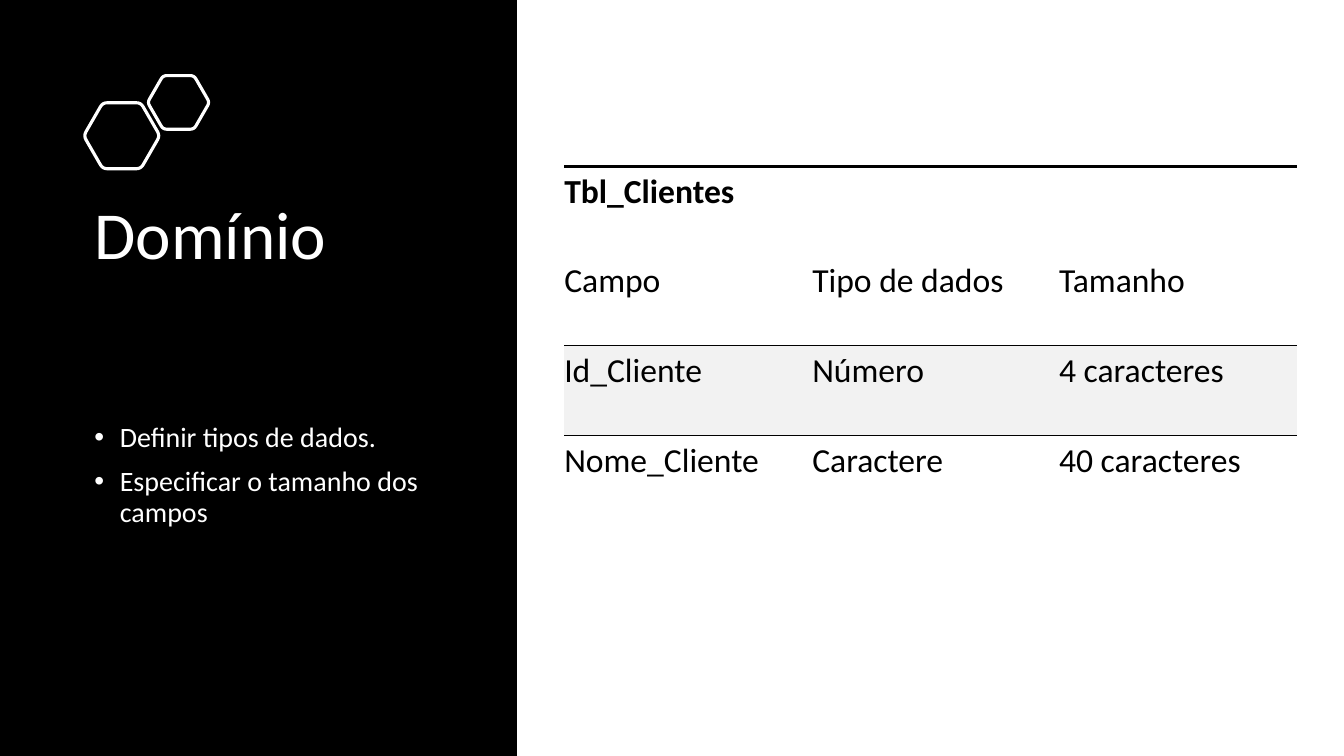
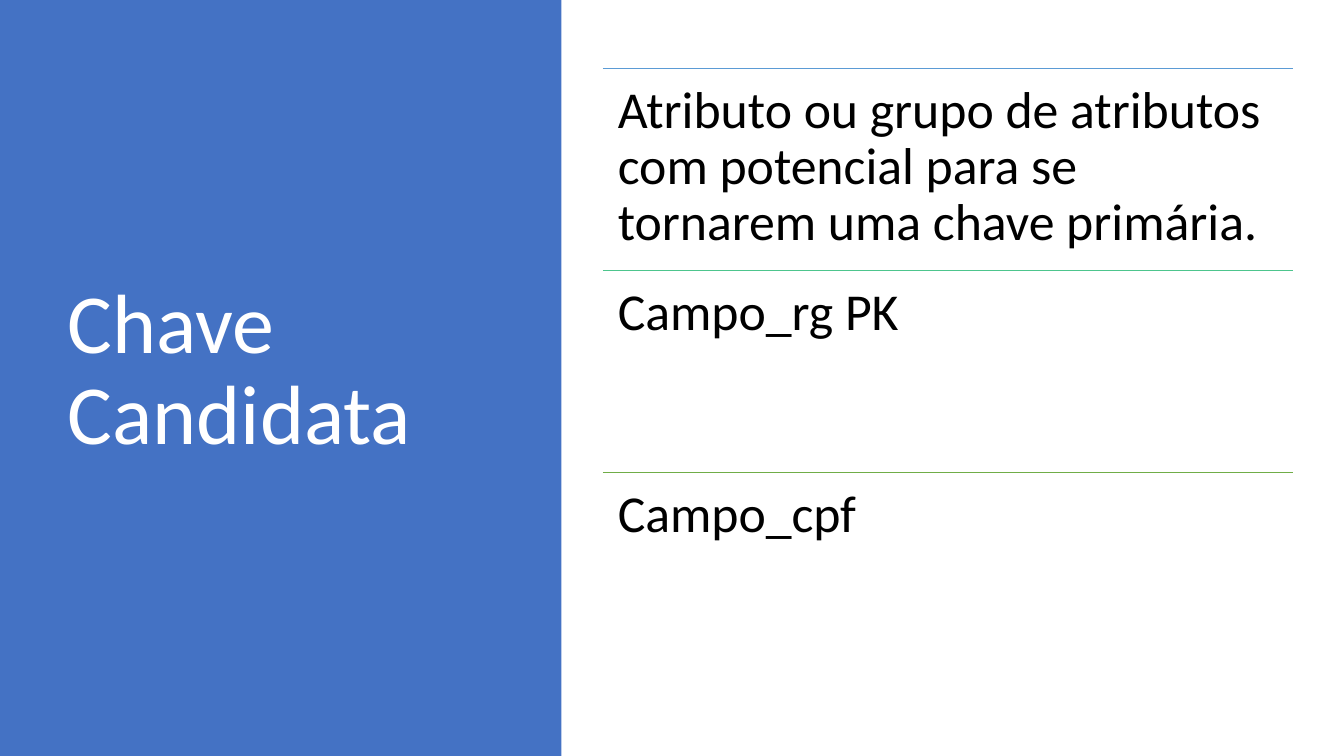
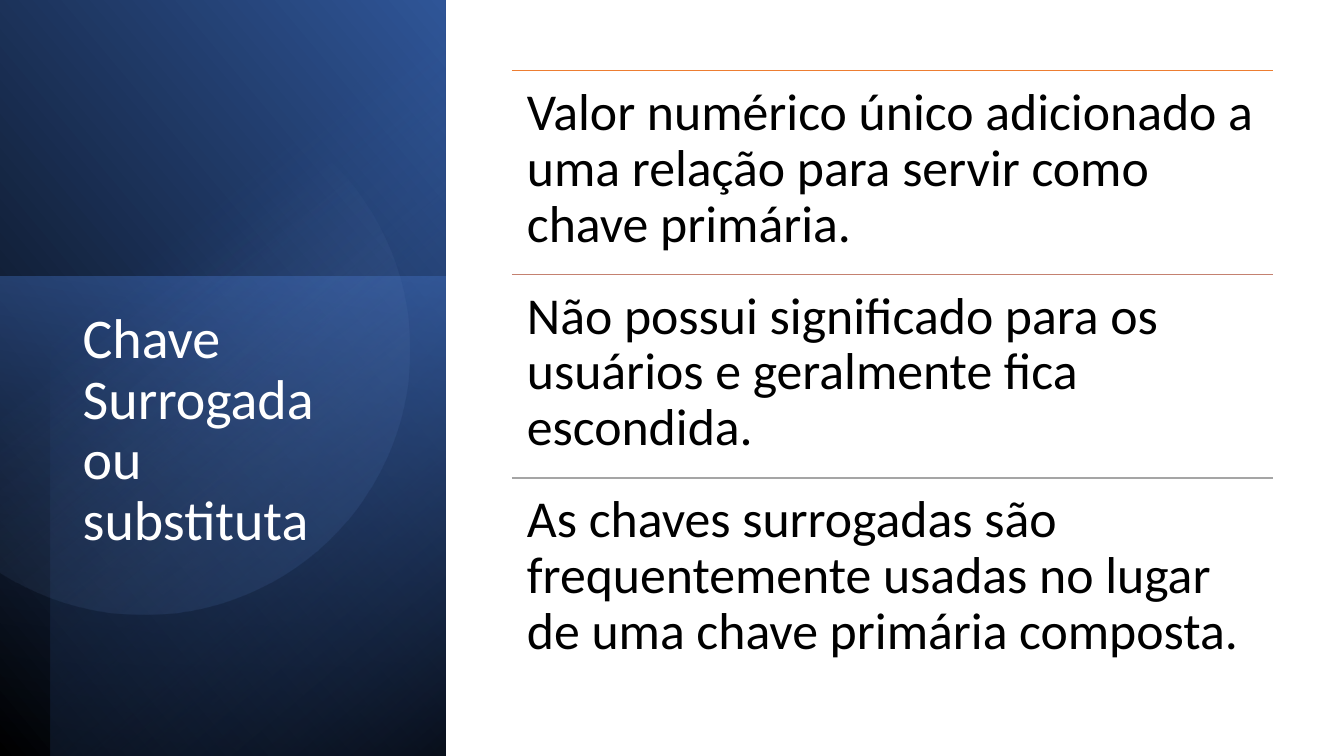
import math

import lxml.etree
import pptx
import pptx.dml.color
import pptx.enum.shapes
import pptx.enum.text
import pptx.oxml.ns
import pptx.util

Cm = pptx.util.Cm
Pt = pptx.util.Pt
qn = pptx.oxml.ns.qn
ANCHOR = pptx.enum.text.MSO_ANCHOR


def rgb(value):
    return pptx.dml.color.RGBColor.from_string(value)


def hexagon_points(x, y, radius, rounding=0.12):
    corners = [(x + radius * math.cos(math.radians(60 * i)),
                y + radius * math.sin(math.radians(60 * i))) for i in range(6)]
    points = []
    for i, corner in enumerate(corners):
        start, end = [[c + (n - c) * rounding for c, n in zip(corner, neighbour)]
                      for neighbour in (corners[i - 1], corners[(i + 1) % 6])]
        for t in (0, 0.25, 0.5, 0.75, 1):
            points.append([(1 - t) ** 2 * a + 2 * t * (1 - t) * c + t ** 2 * b
                           for a, c, b in zip(start, corner, end)])
    return points


def cut_circle_points(x, y, radius, steps=80):
    limit = math.acos(-x / radius)
    angles = [limit * (2 * i / steps - 1) for i in range(steps + 1)]
    return [(x + radius * math.cos(a), y + radius * math.sin(a)) for a in angles]


class Deck:
    FONT = "Calibri"
    WIDTH, HEIGHT = 33.87, 19.05
    BLACK, WHITE, BLUE, NAVY = "000000", "FFFFFF", "4472C4", "2F5597"
    BAND = "F2F2F2"
    NO_TABLE_STYLE = "{2D5ABB26-0587-4C30-8999-92F81FD0307C}"

    def __init__(self):
        self.presentation = pptx.Presentation()
        self.presentation.slide_width = Cm(self.WIDTH)
        self.presentation.slide_height = Cm(self.HEIGHT)
        self.slide = None

    def new_slide(self):
        self.slide = self.presentation.slides.add_slide(
            self.presentation.slide_layouts[5])

    def style(self, paragraph, size, color, bold=False, spacing=0.9):
        paragraph.alignment = pptx.enum.text.PP_ALIGN.LEFT
        paragraph.line_spacing = spacing
        for run in paragraph.runs:
            run.font.name = self.FONT
            run.font.size = Pt(size)
            run.font.bold = bold
            run.font.color.rgb = rgb(color)

    def frame(self, shape, anchor=ANCHOR.TOP):
        frame = shape.text_frame
        frame.word_wrap = True
        frame.auto_size = pptx.enum.text.MSO_AUTO_SIZE.NONE
        frame.vertical_anchor = anchor
        return frame

    def title(self, text, box, size, anchor=ANCHOR.TOP):
        title = self.slide.shapes.title
        title.left, title.top, title.width, title.height = map(Cm, box)
        frame = self.frame(title, anchor)
        frame.text = text
        self.style(frame.paragraphs[0], size, self.WHITE)
        self.slide.shapes._spTree.append(title._element)

    def rectangle(self, box):
        shape = self.slide.shapes.add_shape(
            pptx.enum.shapes.MSO_SHAPE.RECTANGLE, *map(Cm, box))
        shape.shadow.inherit = False
        shape.line.fill.background()
        return shape

    def side_panel(self, width, color):
        panel = self.rectangle((0, 0, width, self.HEIGHT))
        panel.fill.solid()
        panel.fill.fore_color.rgb = rgb(color)

    def gradient(self, shape, stops, angle):
        shape.fill.gradient()
        shape.fill.gradient_angle = 360 - angle
        for stop, (position, color, _) in zip(shape.fill.gradient_stops, stops):
            stop.position = position
            stop.color.rgb = rgb(color)
        colors = shape._element.spPr.iter(qn("a:srgbClr"))
        for element, (_, _, opacity) in zip(list(colors), stops):
            alpha = lxml.etree.SubElement(element, qn("a:alpha"))
            alpha.set("val", str(opacity * 1000))

    def gradient_panel(self, box, rotation, flipped, stops, angle):
        panel = self.rectangle(box)
        panel.rotation = rotation
        if flipped:
            panel._element.spPr.find(qn("a:xfrm")).set("flipH", "1")
        self.gradient(panel, stops, angle)

    def outline(self, points):
        corners = [(Cm(x), Cm(y)) for x, y in points]
        builder = self.slide.shapes.build_freeform(*corners[0])
        builder.add_line_segments(corners[1:], close=True)
        shape = builder.convert_to_shape()
        shape.shadow.inherit = False
        return shape

    def hexagon(self, x, y, radius):
        hexagon = self.outline(hexagon_points(x, y, radius))
        hexagon.fill.background()
        hexagon.line.color.rgb = rgb(self.WHITE)
        hexagon.line.width = Pt(2.25)

    def cut_circle(self, x, y, radius, stops, angle):
        circle = self.outline(cut_circle_points(x, y, radius))
        circle.line.fill.background()
        self.gradient(circle, stops, angle)

    def bullets(self, items, box, top_inset):
        frame = self.frame(self.slide.shapes.add_textbox(*map(Cm, box)))
        frame.margin_top = Cm(top_inset)
        frame.text = "\n".join(items)
        for i, paragraph in enumerate(frame.paragraphs):
            self.style(paragraph, 20, self.WHITE)
            paragraph.space_before = Pt(10 if i else 0)
            properties = paragraph._p.get_or_add_pPr()
            properties.set("marL", str(Cm(0.64)))
            properties.set("indent", str(-Cm(0.64)))
            lxml.etree.SubElement(properties, qn("a:buFont")).set("typeface", "Arial")
            lxml.etree.SubElement(properties, qn("a:buChar")).set("char", "•")

    def rule(self, x, y, width, color):
        line = self.slide.shapes.add_connector(
            pptx.enum.shapes.MSO_CONNECTOR.STRAIGHT,
            Cm(x), Cm(y), Cm(x + width), Cm(y))
        line.line.color.rgb = rgb(color)
        line.line.width = Pt(1)
        lxml.etree.SubElement(line._element.spPr, qn("a:effectLst"))

    def ruled_list(self, entries, x, y, width, step):
        for i, (color, text) in enumerate(entries):
            top = y + i * step
            self.rule(x, top, width, color)
            frame = self.frame(self.slide.shapes.add_textbox(
                Cm(x), Cm(top), Cm(width), Cm(step)))
            frame.margin_left = frame.margin_right = Cm(0.38)
            frame.margin_top = frame.margin_bottom = Cm(0.38)
            frame.text = text
            self.style(frame.paragraphs[0], 37, self.BLACK)

    def top_border(self, cell, width):
        border = lxml.etree.Element(qn("a:lnT"))
        border.set("w", str(Pt(width)))
        fill = lxml.etree.SubElement(border, qn("a:solidFill"))
        lxml.etree.SubElement(fill, qn("a:srgbClr")).set("val", self.BLACK)
        cell._tc.get_or_add_tcPr().insert(0, border)

    def field_table(self, rows, x, y, widths, row_height, borders, banded):
        table = self.slide.shapes.add_table(
            len(rows), len(widths), Cm(x), Cm(y),
            Cm(sum(widths)), Cm(row_height * len(rows))).table
        table.first_row = table.horz_banding = False
        table._tbl.tblPr.find(qn("a:tableStyleId")).text = self.NO_TABLE_STYLE
        for column, width in zip(table.columns, widths):
            column.width = Cm(width)
        table.cell(0, 0).merge(table.cell(0, len(widths) - 1))
        for r, texts in enumerate(rows):
            table.rows[r].height = Cm(row_height)
            for c, cell in enumerate(table.rows[r].cells):
                cell.margin_left, cell.margin_top = Cm(0), Cm(0.13)
                cell.margin_right, cell.margin_bottom = Cm(0.3), Cm(0.89)
                if r in banded:
                    cell.fill.solid()
                    cell.fill.fore_color.rgb = rgb(self.BAND)
                else:
                    cell.fill.background()
                if r in borders:
                    self.top_border(cell, borders[r])
                if c < len(texts):
                    cell.text_frame.text = texts[c]
                    self.style(cell.text_frame.paragraphs[0], 24, self.BLACK,
                               bold=r == 0, spacing=1.0)


def domain_slide(deck):
    deck.new_slide()
    deck.side_panel(13.03, deck.BLACK)
    deck.title("Domínio", (2.13, 4.95, 9.96, 4.06), 48)
    deck.hexagon(3.07, 3.42, 0.96)
    deck.hexagon(4.5, 2.58, 0.78)
    deck.bullets(["Definir tipos de dados.", "Especificar o tamanho dos campos"],
                 (2.13, 9.4, 9.96, 7.75), top_inset=1.27)
    deck.field_table(
        [["Tbl_Clientes"],
         ["Campo", "Tipo de dados", "Tamanho"],
         ["Id_Cliente", "Número", "4 caracteres"],
         ["Nome_Cliente", "Caractere", "40 caracteres"]],
        14.22, 4.19, [6.25, 6.22, 5.99], 2.26,
        borders={0: 2.25, 2: 0.5}, banded={2})


def candidate_key_slide(deck):
    deck.new_slide()
    deck.side_panel(14.15, deck.BLUE)
    deck.title("Chave Candidata", (1.45, 1.73, 10.57, 15.29), 60, ANCHOR.MIDDLE)
    deck.ruled_list(
        [("5B9BD5", "Atributo ou grupo de atributos com potencial para se "
                    "tornarem uma chave primária."),
         ("4DC58D", "Campo_rg PK"),
         ("70AD47", "Campo_cpf")],
        15.19, 1.73, 17.4, 5.09)


def surrogate_key_slide(deck):
    deck.new_slide()
    deck.gradient_panel((-3.94, 3.94, 19.1, 11.23), 90, True,
                        [(0, deck.BLACK, 100), (1, deck.NAVY, 100)], 310)
    deck.gradient_panel((-0.43, 7.39, 12.09, 11.23), 270, False,
                        [(0, deck.BLUE, 50), (1, "203864", 0)], 190)
    deck.gradient_panel((-3.28, 4.55, 19.05, 9.96), 270, True,
                        [(0, deck.BLACK, 59), (0.69, deck.BLUE, 0)], 220)
    deck.cut_circle(3.63, 8.81, 6.68,
                    [(0.39, "8FAADC", 0), (1, deck.NAVY, 26)], 52)
    deck.title("Chave Surrogada ou substituta", (1.83, 7.7, 8, 8.53), 40)
    deck.ruled_list(
        [("ED7D31", "Valor numérico único adicionado a uma relação para servir "
                    "como chave primária."),
         ("C48170", "Não possui significado para os usuários e geralmente fica "
                    "escondida."),
         ("A5A5A5", "As chaves surrogadas são frequentemente usadas no lugar de "
                    "uma chave primária composta.")],
        12.9, 1.78, 19.18, 5.13)


def main():
    deck = Deck()
    domain_slide(deck)
    candidate_key_slide(deck)
    surrogate_key_slide(deck)
    deck.presentation.save("out.pptx")


if __name__ == "__main__":
    main()
